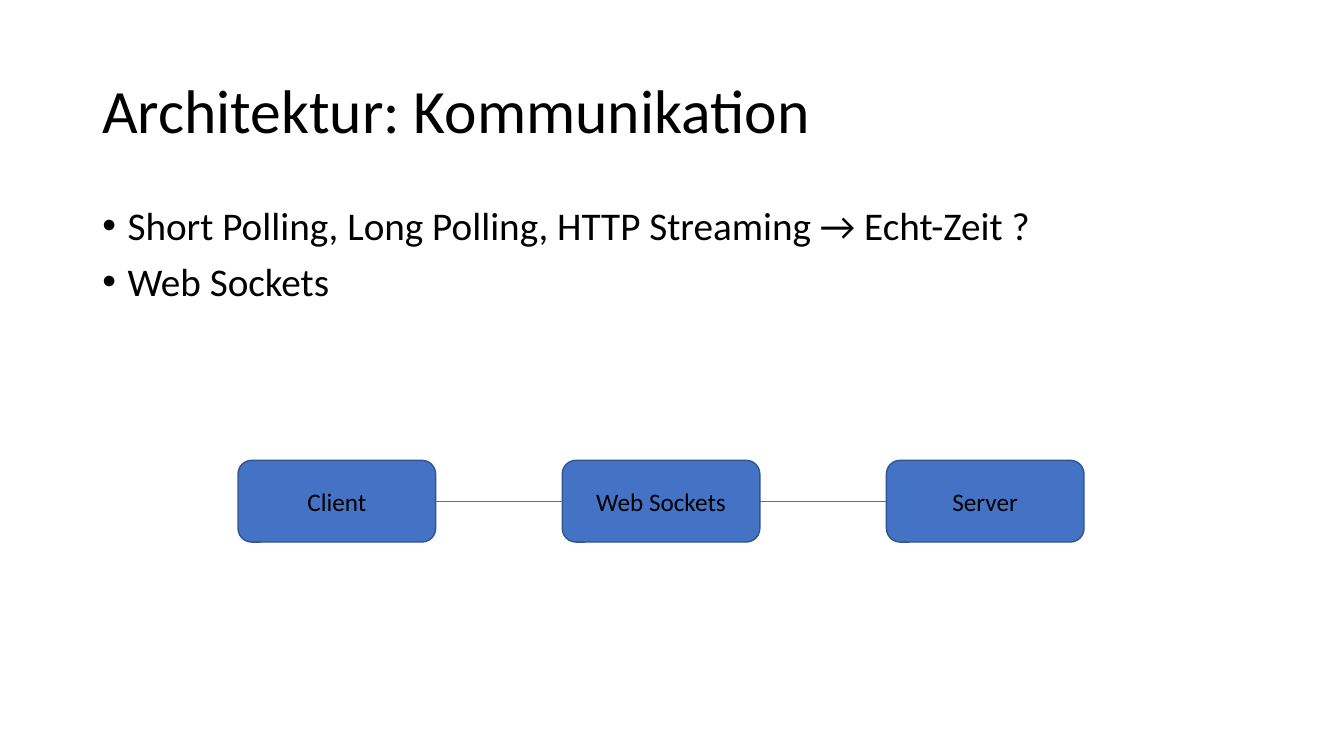
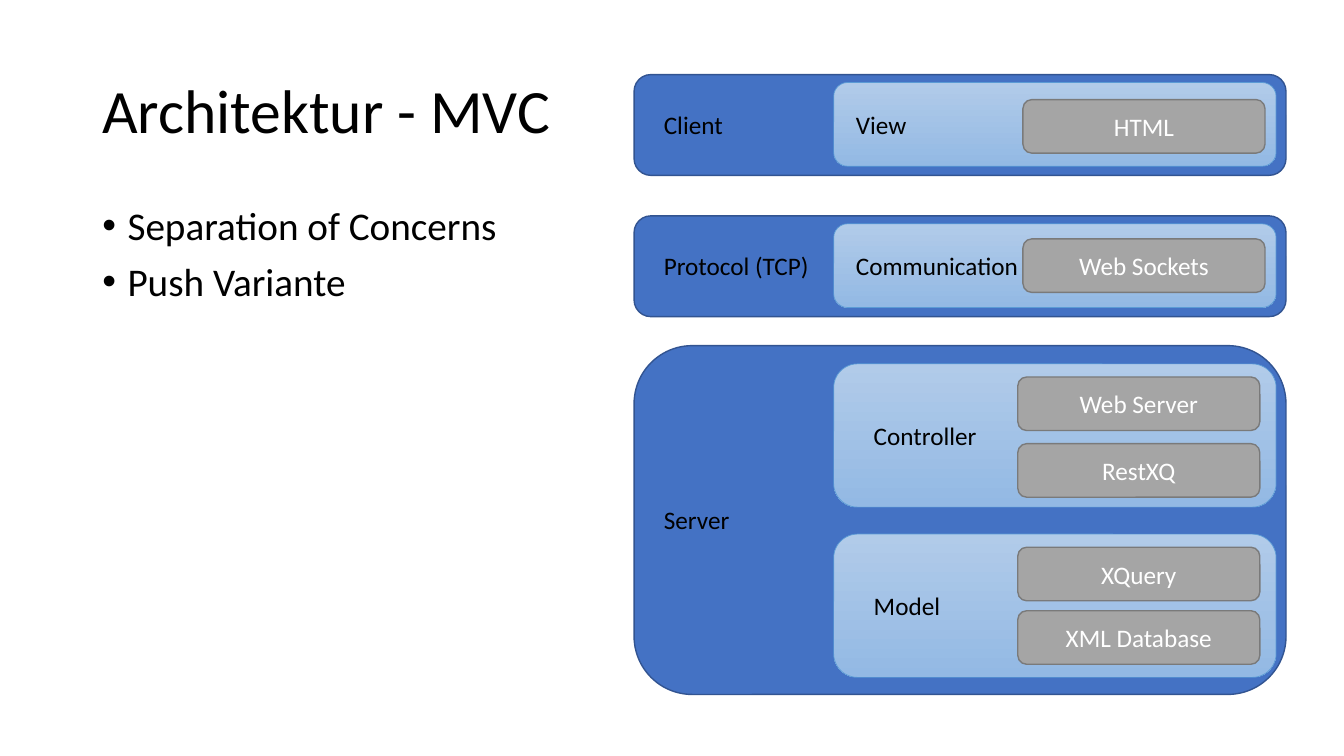
import pptx
import pptx.dml.color
import pptx.enum.shapes
import pptx.enum.text
import pptx.oxml.ns
import pptx.util
from lxml import etree
from pptx.util import Cm

# Shared style
FONT = "Calibri"
BLACK, WHITE = "000000", "FFFFFF"
BLUE, BLUE_EDGE = "4472C4", "325491"
LIGHT_TOP, LIGHT_BOTTOM, LIGHT_EDGE = "B1CBE9", "93B9E4", "5B9BD5"
GREY, GREY_EDGE = "A5A5A5", "7A7A7A"
TITLE_SIZE, BULLET_SIZE, LABEL_SIZE = 44, 28, 18
LABEL_HEIGHT = 1.03

# Content: communication slide
COMMUNICATION_TITLE = "Architektur: Kommunikation"
COMMUNICATION_BULLETS = [
    "Short Polling, Long Polling, HTTP Streaming → Echt-Zeit ?",
    "Web Sockets",
]
CHAIN = ["Client", "Web Sockets", "Server"]

# Content: MVC slide
MVC_TITLE = "Architektur - MVC"
MVC_BULLETS = ["Separation of Concerns", "Push Variante"]
# Layer: name, top, height, part height, label left, chip left, parts
# Part: name, top, list of (chip, offset from the top of the part)
LAYERS = [
    ("Client", 1.88, 2.54, 2.11, 21.32, 25.78,
     [("View", 2.08, [("HTML", 0.43)])]),
    ("Protocol (TCP)", 5.44, 2.54, 2.11, 21.32, 25.78,
     [("Communication", 5.64, [("Web Sockets", 0.38)])]),
    ("Server", 8.71, 8.79, 3.61, 21.77, 25.65,
     [("Controller", 9.17, [("Web Server", 0.33), ("RestXQ", 2.01)]),
      ("Model", 13.46, [("XQuery", 0.33), ("XML Database", 1.93)])]),
]


def color(hex_value):
    return pptx.dml.color.RGBColor.from_string(hex_value)


def add_run(paragraph, text, size, text_color=BLACK):
    run = paragraph.add_run()
    run.text = text
    run.font.name = FONT
    run.font.size = pptx.util.Pt(size)
    run.font.color.rgb = color(text_color)


def add_text_frame(slide, left, top, width, height, anchor):
    box = slide.shapes.add_textbox(Cm(left), Cm(top), Cm(width), Cm(height))
    box.text_frame.word_wrap = True
    box.text_frame.vertical_anchor = anchor
    return box.text_frame


def add_label(slide, text, left, center, width):
    frame = add_text_frame(slide, left, center - LABEL_HEIGHT / 2, width,
                           LABEL_HEIGHT, pptx.enum.text.MSO_ANCHOR.TOP)
    add_run(frame.paragraphs[0], text, LABEL_SIZE)


def add_box(slide, left, top, width, height, edge, edge_width=1, fill=None):
    """Rounded box; without a fill colour it gets the light gradient."""
    shape = slide.shapes.add_shape(
        pptx.enum.shapes.MSO_SHAPE.ROUNDED_RECTANGLE,
        Cm(left), Cm(top), Cm(width), Cm(height))
    shape.shadow.inherit = False
    shape.line.color.rgb = color(edge)
    shape.line.width = pptx.util.Pt(edge_width)
    if fill:
        shape.fill.solid()
        shape.fill.fore_color.rgb = color(fill)
    else:
        shape.fill.gradient()
        shape.fill.gradient_angle = 270
        for stop, shade in zip(shape.fill.gradient_stops, (LIGHT_TOP, LIGHT_BOTTOM)):
            stop.color.rgb = color(shade)
    return shape


def add_centered_text(shape, text, text_color):
    frame = shape.text_frame
    frame.vertical_anchor = pptx.enum.text.MSO_ANCHOR.MIDDLE
    frame.paragraphs[0].alignment = pptx.enum.text.PP_ALIGN.CENTER
    add_run(frame.paragraphs[0], text, LABEL_SIZE, text_color)


def connect(slide, start, end):
    """Line from the right side of one box to the left side of the next."""
    line = slide.shapes.add_connector(
        pptx.enum.shapes.MSO_CONNECTOR.STRAIGHT, 0, 0, 0, 0)
    line.begin_connect(start, 3)
    line.end_connect(end, 1)
    line.line.color.rgb = color(BLUE)
    line.line.width = pptx.util.Pt(0.5)
    etree.SubElement(line._element.spPr, pptx.oxml.ns.qn("a:effectLst"))


def add_bullet(paragraph, text):
    paragraph.line_spacing = 0.9
    paragraph.space_before = pptx.util.Pt(10)
    properties = paragraph._p.get_or_add_pPr()
    indent = Cm(0.635)
    properties.set("marL", str(indent))
    properties.set("indent", str(-indent))
    for tag, name, value in (("a:buFont", "typeface", "Arial"),
                             ("a:buChar", "char", "•")):
        etree.SubElement(properties, pptx.oxml.ns.qn(tag)).set(name, value)
    add_run(paragraph, text, BULLET_SIZE)


def add_slide(presentation, title, bullets):
    slide = presentation.slides.add_slide(presentation.slide_layouts[6])
    frame = add_text_frame(slide, 2.33, 1.01, 29.21, 3.68,
                           pptx.enum.text.MSO_ANCHOR.MIDDLE)
    frame.paragraphs[0].line_spacing = 0.9
    add_run(frame.paragraphs[0], title, TITLE_SIZE)

    frame = add_text_frame(slide, 2.33, 5.07, 29.21, 12.09,
                           pptx.enum.text.MSO_ANCHOR.TOP)
    for index, text in enumerate(bullets):
        paragraph = frame.add_paragraph() if index else frame.paragraphs[0]
        add_bullet(paragraph, text)
    return slide


def add_chain(slide):
    left, pitch = 6, 8.17
    boxes = []
    for index, text in enumerate(CHAIN):
        box = add_box(slide, left + index * pitch, 11.6, 4.98, 2.06,
                      BLUE_EDGE, fill=BLUE)
        add_centered_text(box, text, BLACK)
        boxes.append(box)
    for start, end in zip(boxes, boxes[1:]):
        connect(slide, start, end)


def add_layers(slide):
    for name, top, height, part_height, label_left, chip_left, parts in LAYERS:
        add_box(slide, 15.98, top, 16.43, height, BLUE_EDGE, fill=BLUE)
        add_label(slide, name, 16.48, top + height / 2, 4.52)
        for part, part_top, chips in parts:
            add_box(slide, 21.01, part_top, 11.15, part_height, LIGHT_EDGE, 0.5)
            for chip, offset in chips:
                box = add_box(slide, chip_left, part_top + offset, 6.1, 1.35,
                              GREY_EDGE, fill=GREY)
                add_centered_text(box, chip, WHITE)
            add_label(slide, part, label_left, part_top + part_height / 2, 4.93)


def main():
    presentation = pptx.Presentation()
    presentation.slide_width, presentation.slide_height = Cm(33.87), Cm(19.05)
    add_chain(add_slide(presentation, COMMUNICATION_TITLE, COMMUNICATION_BULLETS))
    add_layers(add_slide(presentation, MVC_TITLE, MVC_BULLETS))
    presentation.save("out.pptx")


if __name__ == "__main__":
    main()
